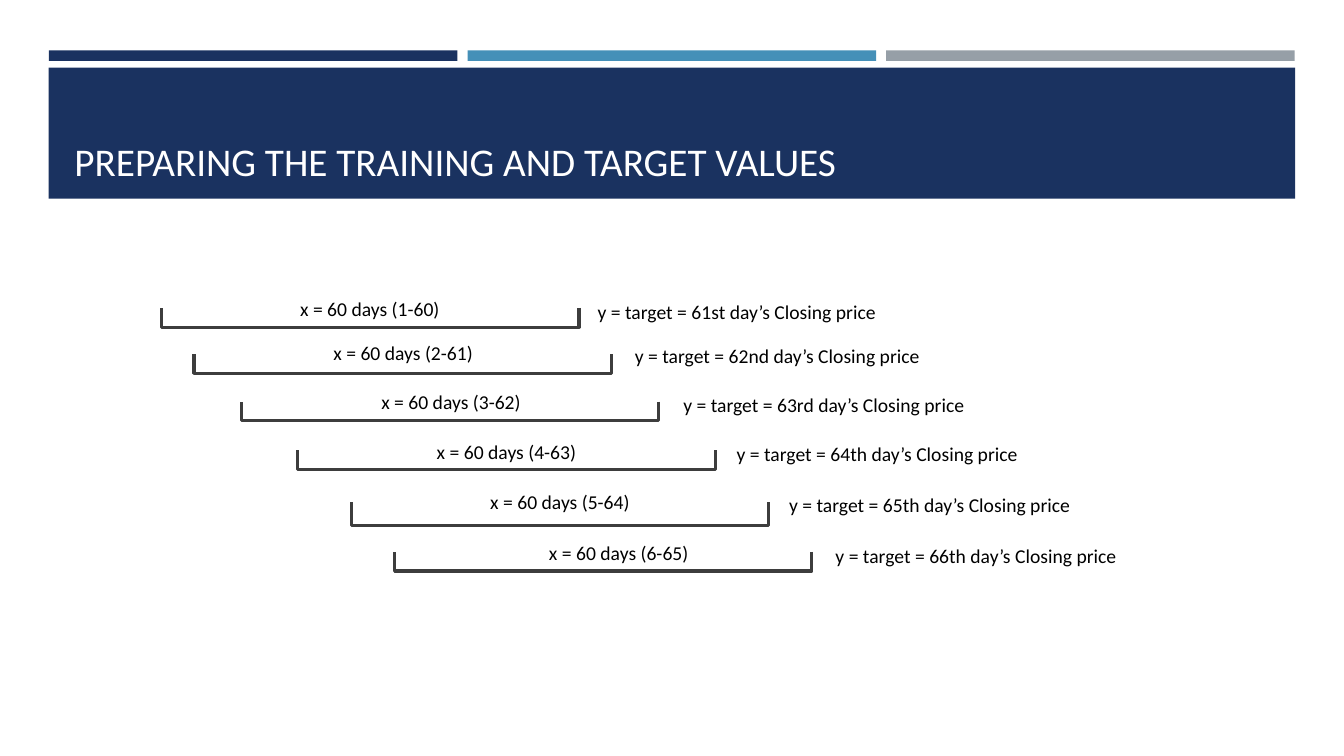
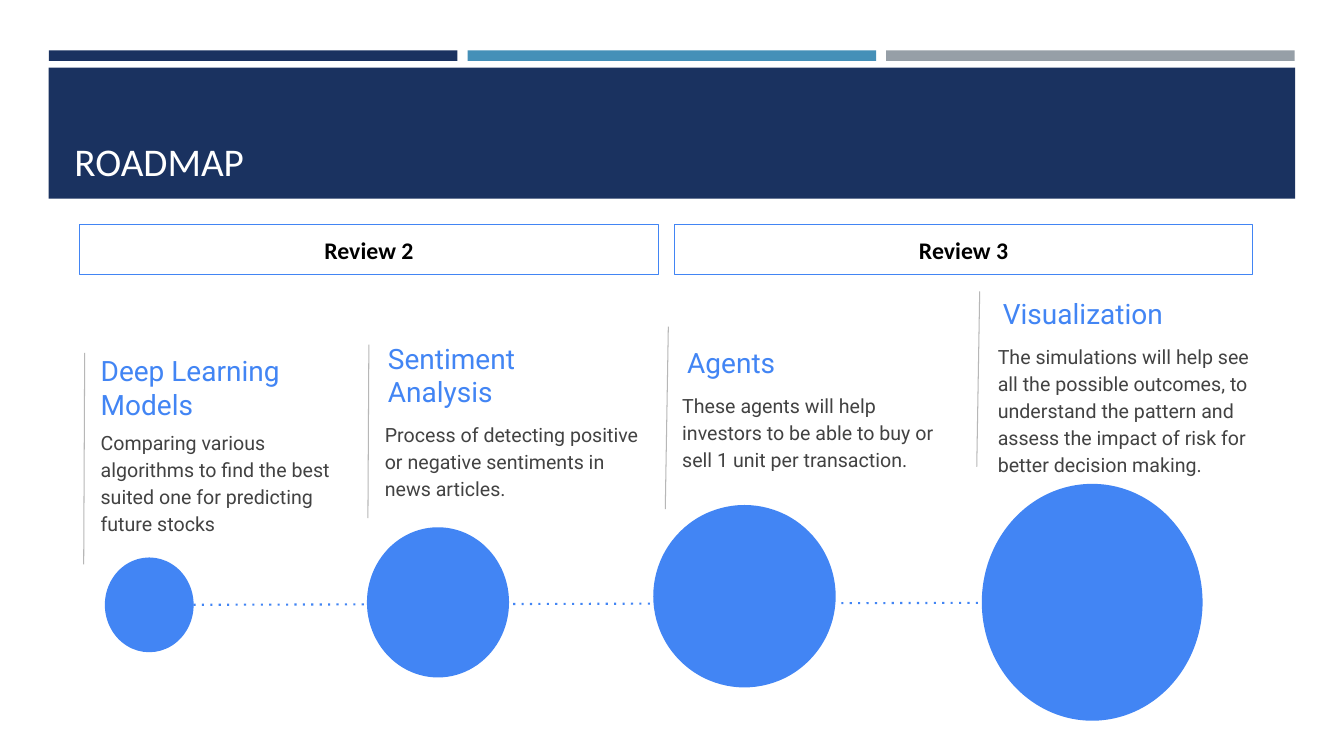
from lxml import etree
from pptx import Presentation
from pptx.dml.color import RGBColor
from pptx.enum.dml import MSO_LINE
from pptx.enum.shapes import MSO_CONNECTOR, MSO_SHAPE
from pptx.enum.text import MSO_ANCHOR, PP_ALIGN
from pptx.oxml.ns import qn
from pptx.util import Pt

NAVY = RGBColor(0x1A, 0x32, 0x60)
TEAL = RGBColor(0x45, 0x90, 0xB8)
GREY = RGBColor(0x96, 0x9F, 0xA7)
BLUE = RGBColor(0x42, 0x85, 0xF4)
CHARCOAL = RGBColor(0x3D, 0x3D, 0x3D)
BODY_GREY = RGBColor(0x42, 0x42, 0x42)
RULE_GREY = RGBColor(0xB7, 0xB7, 0xB7)
BLACK = RGBColor(0, 0, 0)
WHITE = RGBColor(0xFF, 0xFF, 0xFF)

HEADING_FONT = "Calibri"
ROADMAP_FONT = "Roboto"

STRIPE_COLORS = (NAVY, TEAL, GREY)
STRIPE_LEFT, STRIPE_TOP, STRIPE_WIDTH, STRIPE_HEIGHT = 35, 36, 291.8, 7.5
STRIPE_STEP = 299
BAND = (34.8, 48.4, 890.4, 93.6)
TITLE_BOX = (46, 55.6, 868.3, 79.7)

BRACKET_WIDTH = 298
LABEL_WIDTH, TARGET_WIDTH, LABEL_HEIGHT = 170, 238, 32
TARGET_DROP = 2
WINDOWS = [
    {"target": "61st", "bracket": (264.6, 226.8, 13.7), "label": (264.2, 205.2), "target_left": 419.8},
    {"target": "62nd", "bracket": (287.6, 259.9, 13.7), "label": (288, 236.2), "target_left": 446.4},
    {"target": "63rd", "bracket": (321.5, 293.8, 13.7), "label": (322.2, 271.4), "target_left": 481},
    {"target": "64th", "bracket": (361.8, 328.3, 13.7), "label": (361.8, 306.7), "target_left": 519.1},
    {"target": "65th", "bracket": (400, 367.2, 16.6), "label": (400, 342.7), "target_left": 556.6},
    {"target": "66th", "bracket": (430.9, 401, 13.7), "label": (442, 379.4), "target_left": 589.7},
]

REVIEWS = ("Review 2", "Review 3")
REVIEW_LEFT, REVIEW_TOP, REVIEW_WIDTH, REVIEW_HEIGHT = 56.9, 160.6, 413.3, 35.3
REVIEW_STEP = 424.8

HEADING_HEIGHT = 43.2
TIMELINE = (138.2, 432, 701.3, 430.6)
STAGES = [
    {
        "heading": "Deep Learning\u0020Models",
        "body": "Comparing various algorithms to find the best suited one for predicting future stocks",
        "heading_box": (64.8, 254.9, 187.9),
        "body_box": (64.8, 298.1, 182.9, 90),
        "rule": (60.5, 252, 59.8, 403.2),
        "circle": (74.9, 398.2, 63.4, 67.7),
    },
    {
        "heading": "Sentiment\nAnalysis",
        "body": "Process of detecting positive or negative sentiments in news articles.",
        "heading_box": (270, 246.2, 187.9),
        "body_box": (267.8, 292.3, 200.9, 71.3),
        "rule": (263.5, 246.2, 262.8, 370.1),
        "circle": (262.1, 376.6, 101.5, 107.3),
    },
    {
        "heading": "Agents",
        "body": "These agents will help investors to be able to buy or sell 1 unit per transaction.",
        "heading_box": (483.8, 236.9, 187.9),
        "body_box": (480.2, 271.4, 210.2, 79.9),
        "rule": (477.4, 233.3, 475.2, 363.6),
        "circle": (466.6, 360.7, 130.3, 130.3),
    },
    {
        "heading": "Visualization",
        "body": "The simulations will help see all the possible outcomes, to understand the pattern "
                "and assess the impact of risk for better decision making.",
        "heading_box": (709.2, 202.3, 223.9),
        "body_box": (705.6, 236.9, 210.2, 97.2),
        "rule": (699.8, 208.1, 697.7, 333.4),
        "circle": (701.3, 345.6, 157.7, 169.2),
    },
]


def points(lengths):
    return [Pt(length) for length in lengths]


def write(shape, text, size=14, font=HEADING_FONT, color=BLACK, bold=False, align=PP_ALIGN.LEFT,
          anchor=MSO_ANCHOR.TOP, inset=7.2, line_spacing=None, space_after=None):
    frame = shape.text_frame
    frame.word_wrap = True
    frame.vertical_anchor = anchor
    frame.margin_left = frame.margin_right = Pt(7.2)
    frame.margin_top = frame.margin_bottom = Pt(inset)
    frame.text = text
    for paragraph in frame.paragraphs:
        paragraph.alignment = align
        paragraph.line_spacing = line_spacing
        if space_after is not None:
            paragraph.space_after = Pt(space_after)
        paragraph.font.name = font
        paragraph.font.size = Pt(size)
        paragraph.font.bold = bold
        paragraph.font.color.rgb = color


def add_text(slide, box, text, **text_format):
    write(slide.shapes.add_textbox(*points(box)), text, **text_format)


def add_preset(slide, preset, box, fill=None, line=None, weight=0.75):
    shape = slide.shapes.add_shape(preset, *points(box))
    shape.shadow.inherit = False
    if fill is None:
        shape.fill.background()
    else:
        shape.fill.solid()
        shape.fill.fore_color.rgb = fill
    if line is None:
        shape.line.fill.background()
    else:
        shape.line.color.rgb = line
        shape.line.width = Pt(weight)
    return shape


def add_line(slide, ends, color, weight=0.75, dotted=False):
    connector = slide.shapes.add_connector(MSO_CONNECTOR.STRAIGHT, *points(ends))
    connector.line.color.rgb = color
    connector.line.width = Pt(weight)
    if dotted:
        connector.line.dash_style = MSO_LINE.ROUND_DOT
        connector.line._ln.find(qn("a:prstDash")).set("val", "dot")
    etree.SubElement(connector._element.spPr, qn("a:effectLst"))


def add_titled_slide(presentation, title):
    slide = presentation.slides.add_slide(presentation.slide_layouts[5])
    placeholder = slide.shapes.title
    placeholder.left, placeholder.top, placeholder.width, placeholder.height = points(TITLE_BOX)
    write(placeholder, title, size=28, color=WHITE, anchor=MSO_ANCHOR.BOTTOM, inset=3.6)
    return slide


def move_bands_to_layout(slide):
    bands = [add_preset(slide, MSO_SHAPE.RECTANGLE, BAND, fill=NAVY)]
    for index, color in enumerate(STRIPE_COLORS):
        box = (STRIPE_LEFT + index * STRIPE_STEP, STRIPE_TOP, STRIPE_WIDTH, STRIPE_HEIGHT)
        bands.append(add_preset(slide, MSO_SHAPE.RECTANGLE, box, fill=color))
    for band in bands:
        slide.slide_layout.shapes._spTree.insert(2, band._element)


def build_windows(slide):
    for first_day, window in enumerate(WINDOWS, start=1):
        center_x, center_y, depth = window["bracket"]
        box = (center_x - depth / 2, center_y - BRACKET_WIDTH / 2, depth, BRACKET_WIDTH)
        bracket = add_preset(slide, MSO_SHAPE.RIGHT_BRACKET, box, line=CHARCOAL, weight=2.25)
        bracket.adjustments[0] = 0
        bracket.rotation = 90
        label_center, label_top = window["label"]
        add_text(slide, (label_center - LABEL_WIDTH / 2, label_top, LABEL_WIDTH, LABEL_HEIGHT),
                 f"x = 60 days ({first_day}-{first_day + 59})", align=PP_ALIGN.CENTER)
        add_text(slide, (window["target_left"], label_top + TARGET_DROP, TARGET_WIDTH, LABEL_HEIGHT),
                 f"y = target = {window['target']} day’s Closing price")


def build_roadmap(slide):
    add_line(slide, TIMELINE, BLUE, weight=1.5, dotted=True)
    for stage in STAGES:
        add_preset(slide, MSO_SHAPE.OVAL, stage["circle"], fill=BLUE)
        add_line(slide, stage["rule"], RULE_GREY)
        add_text(slide, (*stage["heading_box"], HEADING_HEIGHT), stage["heading"], size=20,
                 font=ROADMAP_FONT, color=BLUE, anchor=MSO_ANCHOR.MIDDLE)
        add_text(slide, stage["body_box"], stage["body"], font=ROADMAP_FONT, color=BODY_GREY,
                 line_spacing=1.15, space_after=16)
    for index, review in enumerate(REVIEWS):
        box = (REVIEW_LEFT + index * REVIEW_STEP, REVIEW_TOP, REVIEW_WIDTH, REVIEW_HEIGHT)
        write(add_preset(slide, MSO_SHAPE.RECTANGLE, box, line=BLUE), review, size=17, bold=True,
              align=PP_ALIGN.CENTER, anchor=MSO_ANCHOR.MIDDLE)


def main():
    presentation = Presentation()
    presentation.slide_width, presentation.slide_height = Pt(960), Pt(540)
    windows_slide = add_titled_slide(presentation, "PREPARING THE TRAINING AND TARGET VALUES")
    move_bands_to_layout(windows_slide)
    build_windows(windows_slide)
    build_roadmap(add_titled_slide(presentation, "ROADMAP"))
    presentation.save("out.pptx")


if __name__ == "__main__":
    main()
